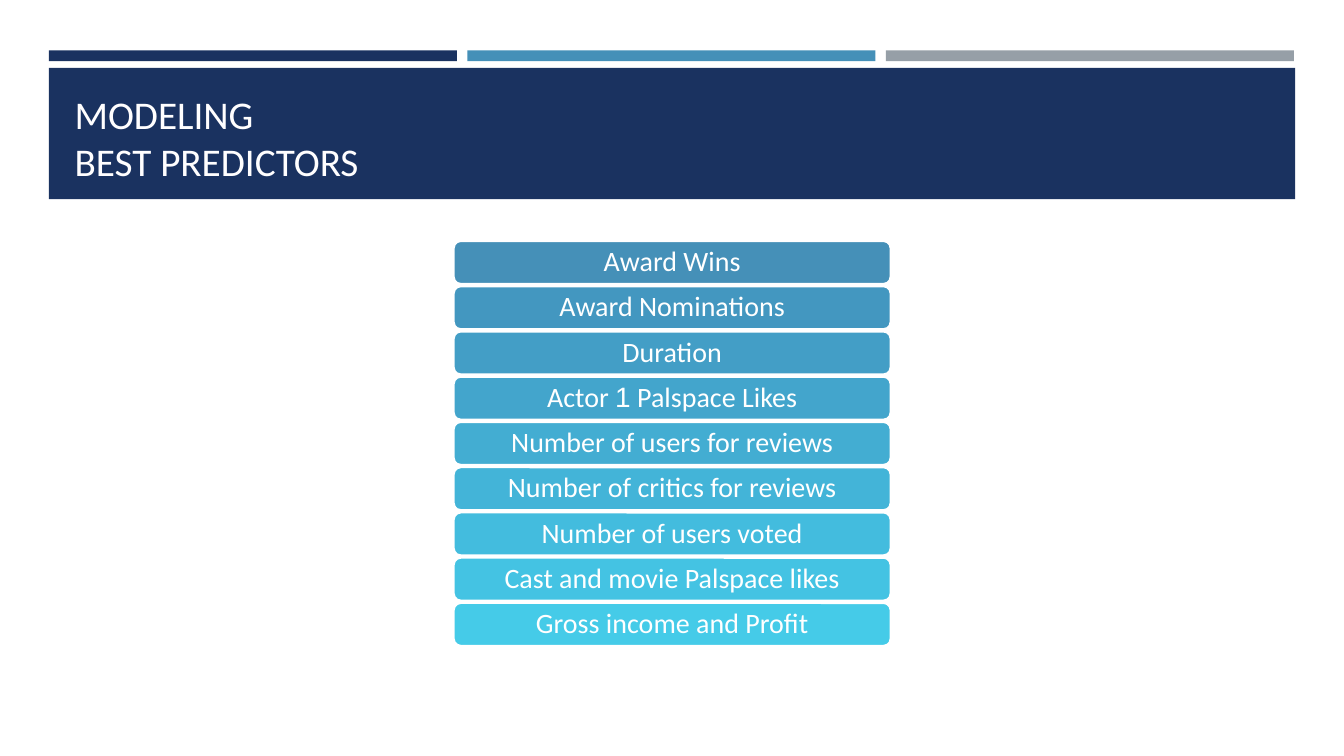
import pptx
import pptx.dml.color
import pptx.enum.shapes
import pptx.enum.text
import pptx.util
from pptx.util import Cm

NAVY, BLUE, GRAY, WHITE = "1A3260", "4590B8", "969FA7", "FFFFFF"
TITLE_COLOR = "FFFEFF"
PREDICTORS = [
    (["Award Wins"], BLUE),
    (["Award Nominations"], "4397C0"),
    (["Duration"], "439EC6"),
    (["Actor ", "1", " Palspace Likes"], "43A5CC"),
    (["Number of users for reviews"], "43ADD2"),
    (["Number of critics for reviews"], "43B4D8"),
    (["Number of users voted"], "43BCDE"),
    (["Cast and movie Palspace likes"], "44C3E3"),
    (["Gross income and Profit"], "45CBE8"),
]


def color(value):
    """Turn a hex string into a colour."""
    return pptx.dml.color.RGBColor.from_string(value)


def style_font(font, size, value):
    """Set the slide's typeface with a size and a colour."""
    font.name = "Calibri"
    font.size = pptx.util.Pt(size)
    font.color.rgb = color(value)


def add_block(slide, kind, left, top, width, height, fill):
    """Add a flat filled shape without an outline."""
    shape = slide.shapes.add_shape(kind, left, top, width, height)
    shape.shadow.inherit = False
    shape.fill.solid()
    shape.fill.fore_color.rgb = color(fill)
    shape.line.fill.background()
    return shape


def add_accent_bars(slide, left, top, width, height):
    """Place three equal bars across the box."""
    gap = Cm(0.26)
    bar_width = (width - 2 * gap) // 3
    for index, fill in enumerate([NAVY, BLUE, GRAY]):
        add_block(slide, pptx.enum.shapes.MSO_SHAPE.RECTANGLE,
                  left + index * (bar_width + gap), top, bar_width, height, fill)


def add_title_banner(slide, left, top, width, height):
    """Fill the box with the banner and set the title inside it."""
    add_block(slide, pptx.enum.shapes.MSO_SHAPE.RECTANGLE, left, top, width, height, NAVY)
    margin = Cm(0.4)
    inset = Cm(0.25)
    title = slide.shapes.add_textbox(left + margin, top + inset,
                                     width - 2 * margin, height - 2 * inset)
    frame = title.text_frame
    frame.word_wrap = True
    frame.vertical_anchor = pptx.enum.text.MSO_ANCHOR.BOTTOM
    paragraph = frame.paragraphs[0]
    paragraph.text = "MODELING\vBEST PREDICTORS"
    style_font(paragraph.font, 28, TITLE_COLOR)


def add_predictor_list(slide, left, top, width, height):
    """Stack the predictors as equal rounded boxes."""
    gap = Cm(0.05)
    row_height = (height - gap * (len(PREDICTORS) - 1)) // len(PREDICTORS)
    for index, (parts, fill) in enumerate(PREDICTORS):
        shape = add_block(slide, pptx.enum.shapes.MSO_SHAPE.ROUNDED_RECTANGLE,
                          left, top + index * (row_height + gap), width, row_height, fill)
        shape.line.color.rgb = color(WHITE)
        shape.line.width = pptx.util.Pt(1.75)
        frame = shape.text_frame
        frame.word_wrap = True
        frame.vertical_anchor = pptx.enum.text.MSO_ANCHOR.MIDDLE
        frame.margin_left = frame.margin_right = Cm(0.2)
        frame.margin_top = frame.margin_bottom = Cm(0.1)
        paragraph = frame.paragraphs[0]
        paragraph.alignment = pptx.enum.text.PP_ALIGN.CENTER
        paragraph.line_spacing = 0.9
        style_font(paragraph.font, 20, WHITE)
        for part in parts:
            run = paragraph.add_run()
            run.text = part
            if part.isdigit():
                run.font.name = "Arial"


def main():
    """Build the slide and save it."""
    presentation = pptx.Presentation()
    presentation.slide_width = Cm(33.87)
    presentation.slide_height = Cm(19.05)
    slide = presentation.slides.add_slide(presentation.slide_layouts[6])
    add_accent_bars(slide, Cm(1.23), Cm(1.27), Cm(31.38), Cm(0.27))
    add_title_banner(slide, Cm(1.23), Cm(1.71), Cm(31.41), Cm(3.31))
    add_predictor_list(slide, Cm(11.43), Cm(6.07), Cm(11.02), Cm(10.21))
    presentation.save("out.pptx")


if __name__ == "__main__":
    main()
